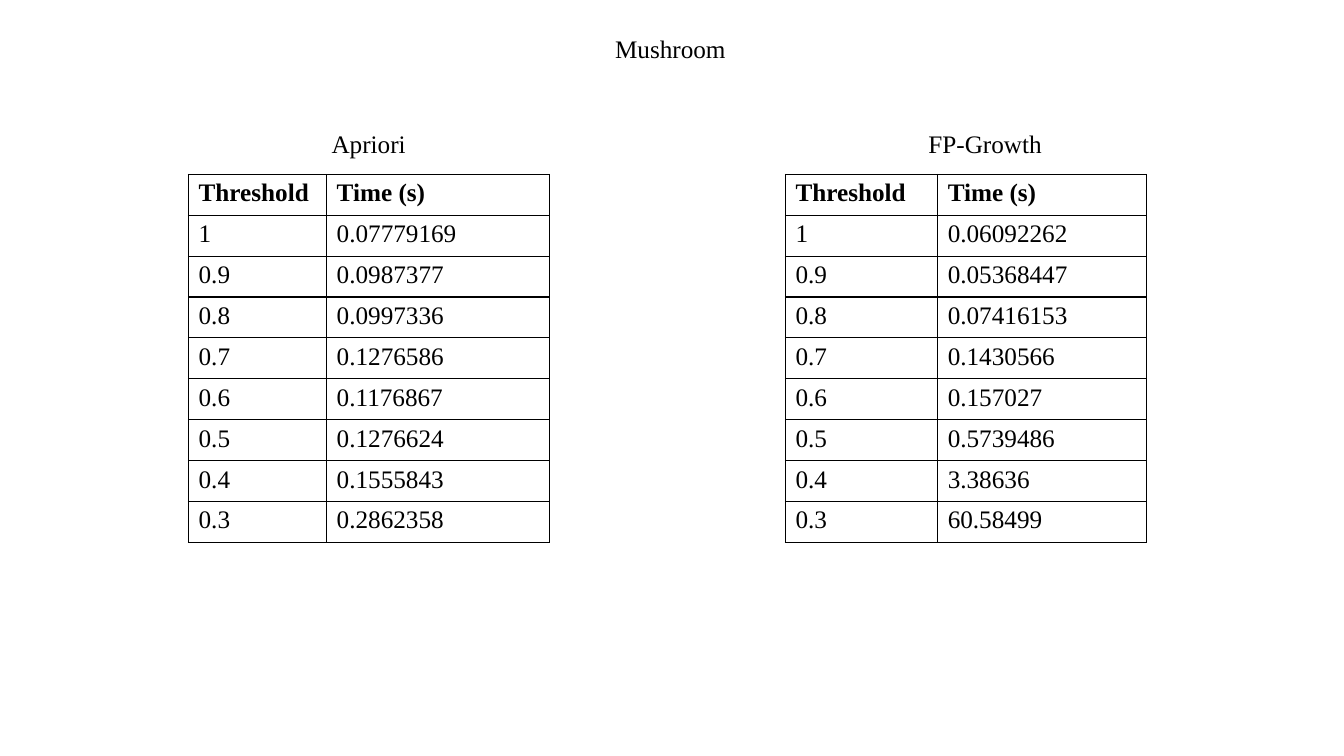
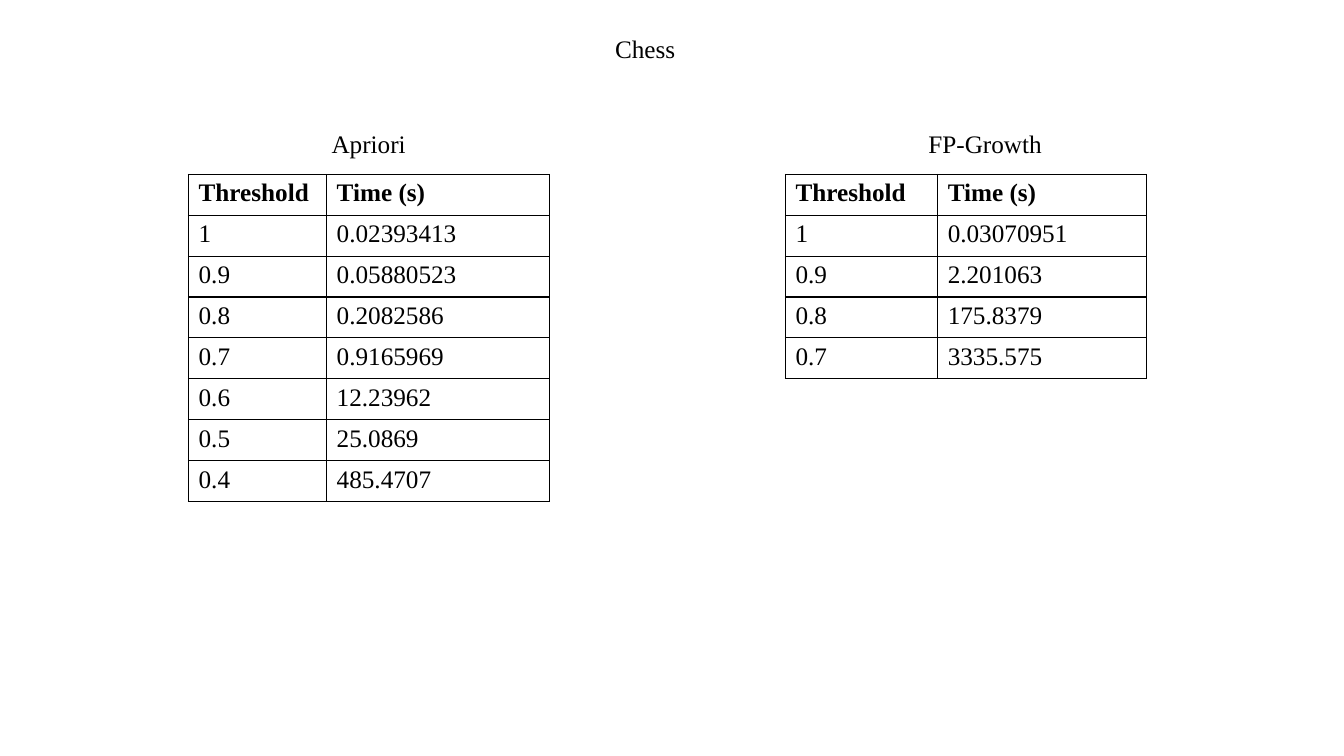
from pptx import Presentation
from pptx.dml.color import RGBColor
from pptx.enum.text import MSO_ANCHOR, MSO_AUTO_SIZE, PP_ALIGN
from pptx.oxml.ns import qn
from pptx.util import Inches, Pt
from lxml import etree

LEFT, TOP, FIXED = PP_ALIGN.LEFT, MSO_ANCHOR.TOP, MSO_AUTO_SIZE.NONE
HUES = {"ink": "000000", "paper": "FFFFFF"}
FONT, SIZE = "Times New Roman", 18
LINE_H = 0.4                    # height of a one-line text box
ROW_H = 3.65 / 9                # nine rows fill the tallest table
HEADS = ("Threshold", "Time (s)")

# Table regions: left edge, column widths, heading and its width
APRIORI = (1.87, (1.37, 2.21), "Apriori", 0.95)
GROWTH = (7.79, (1.51, 2.07), "FP-Growth", 1.34)
TABLE_Y, HEAD_DX, HEAD_DY = 1.73, 1.32, -0.51

# Title, title width, run times of each method from threshold 1 down
PAGES = [
    ("Mushroom", 1.33,
     "0.07779169 0.0987377 0.0997336 0.1276586 0.1176867 0.1276624 0.1555843 0.2862358",
     "0.06092262 0.05368447 0.07416153 0.1430566 0.157027 0.5739486 3.38636 60.58499"),
    ("Chess", 0.81,
     "0.02393413 0.05880523 0.2082586 0.9165969 12.23962 25.0869 485.4707",
     "0.03070951 2.201063 175.8379 3335.575"),
]


def color(name):
    return RGBColor.from_string(HUES[name])


def write(frame, text, bold=False):
    frame.text = text
    para = frame.paragraphs[0]
    para.alignment = LEFT
    font = para.runs[0].font
    font.name, font.size, font.bold = FONT, Pt(SIZE), bold
    font.color.rgb = color("ink")


def label(shape, x, y, width, text):
    shape.left, shape.top = Inches(x), Inches(y)
    shape.width, shape.height = Inches(width), Inches(LINE_H)
    frame = shape.text_frame
    frame.word_wrap, frame.auto_size = True, FIXED
    frame.vertical_anchor = TOP
    write(frame, text)
    frame.paragraphs[0].line_spacing = 1.0


def border(cell):
    props = cell._tc.get_or_add_tcPr()
    for side in ("a:lnL", "a:lnR", "a:lnT", "a:lnB"):
        line = etree.SubElement(props, qn(side), w=str(Pt(1)))
        fill = etree.SubElement(line, qn("a:solidFill"))
        etree.SubElement(fill, qn("a:srgbClr"), val=HUES["ink"])


def timing(slide, region, times):
    """Heading and table of one method."""
    x, widths, head, head_w = region
    rows = [HEADS] + [(f"{1 - i / 10:g}", time) for i, time in enumerate(times.split())]
    table = slide.shapes.add_table(
        len(rows), len(widths), Inches(x), Inches(TABLE_Y),
        Inches(sum(widths)), Inches(ROW_H * len(rows))).table
    table.horz_banding = False
    for col, width in zip(table.columns, widths):
        col.width = Inches(width)
    for r, row in enumerate(rows):
        table.rows[r].height = Inches(ROW_H)
        for c, text in enumerate(row):
            cell = table.cell(r, c)
            write(cell.text_frame, text, bold=r == 0)
            border(cell)
            cell.fill.solid()
            cell.fill.fore_color.rgb = color("paper")
    box = slide.shapes.add_textbox(0, 0, 0, 0)
    label(box, x + HEAD_DX, TABLE_Y + HEAD_DY, head_w, head)


def page(deck, title, width, *times):
    slide = deck.slides.add_slide(deck.slide_layouts[5])
    label(slide.shapes.title, 6, 0.28, width, title)
    for region, series in zip((APRIORI, GROWTH), times):
        timing(slide, region, series)


deck = Presentation()
deck.slide_width, deck.slide_height = Inches(13.33), Inches(7.5)
for entry in PAGES:
    page(deck, *entry)
deck.save("out.pptx")
